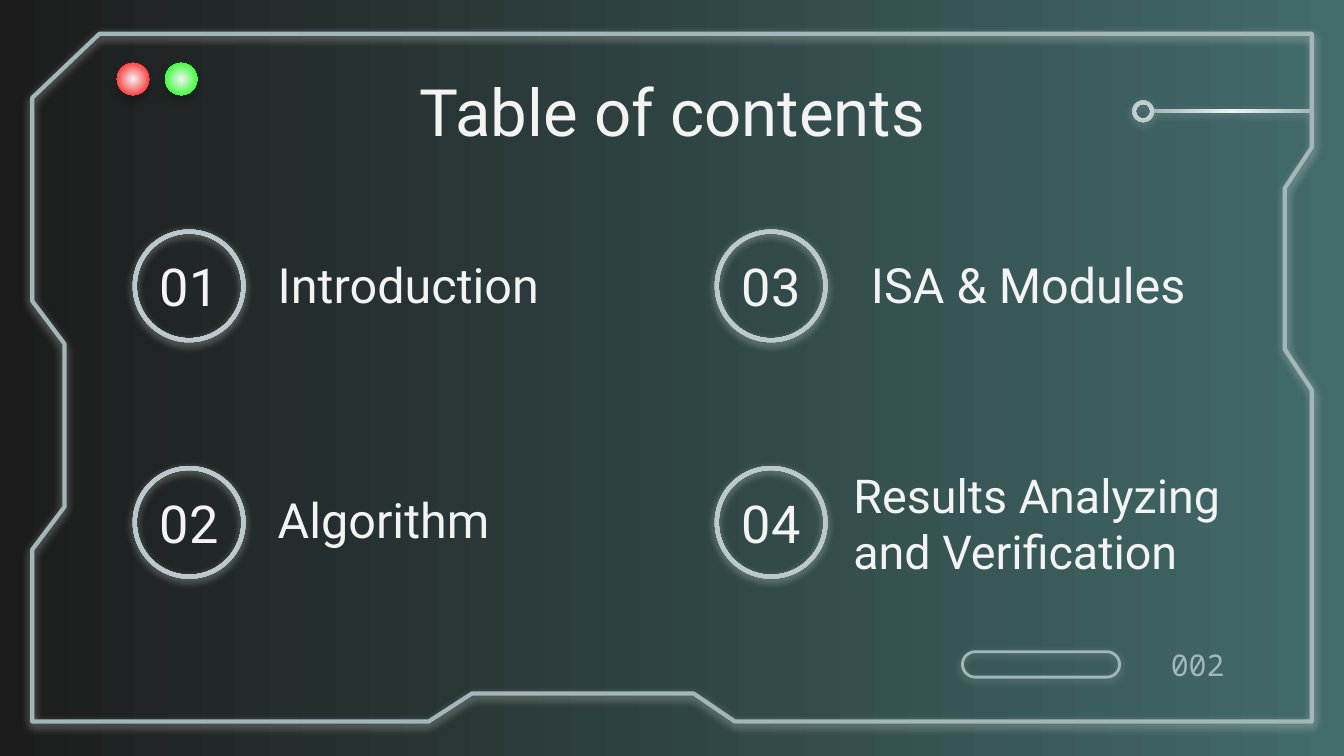
from lxml import etree
from pptx import Presentation
from pptx.dml.color import RGBColor
from pptx.enum.shapes import MSO_SHAPE as Shape
from pptx.enum.text import MSO_ANCHOR as Anchor, PP_ALIGN as Align
from pptx.oxml.ns import qn
from pptx.util import Cm, Pt

LIGHT, STEEL = "F3F3F3", "A3B7B9"
GLOW, SOFT_GLOW, DROP = (LIGHT, 50, 1.5), (STEEL, 50, 1.5), ("000000", 20, 3.8)


def colour(value):
    return RGBColor.from_string(value)


class Deck:
    """Holds the style and the current slide; each method adds one kind of element."""

    font = {"name": "Roboto", "size": Pt(26), "color": LIGHT}

    def __init__(self, presentation):
        self.slide = presentation.slides.add_slide(presentation.slide_layouts[6])

    def gradient(self, fill, first, last, radial=True):
        fill.gradient()
        fill.gradient_angle = 0
        for stop, value, position in zip(fill.gradient_stops, (first, last), (0, 1)):
            stop.color.rgb = colour(value)
            stop.position = position
        return radial

    def background(self, first, last):
        self.gradient(self.slide.background.fill, first, last)

    def radial_fill(self, shape, first, last):
        self.gradient(shape.fill, first, last)
        gradient = shape._element.spPr.find(qn("a:gradFill"))
        gradient.remove(gradient.find(qn("a:lin")))
        path = etree.SubElement(gradient, qn("a:path"), path="circle")
        etree.SubElement(path, qn("a:fillToRect"), l="50000", t="50000", r="50000", b="50000")

    def shadow(self, shape, value, alpha, distance):
        shape.shadow.inherit = False
        effects = shape._element.spPr.find(qn("a:effectLst"))
        outer = etree.SubElement(effects, qn("a:outerShdw"), blurRad=str(Pt(4.5)),
                                 dist=str(Pt(distance)), dir="5400000",
                                 algn="bl", rotWithShape="0")
        tint = etree.SubElement(outer, qn("a:srgbClr"), val=value)
        etree.SubElement(tint, qn("a:alpha"), val=str(alpha * 1000))

    def outline(self, shape, width, shadow):
        shape.fill.background()
        shape.line.color.rgb = colour(STEEL)
        shape.line.width = Pt(width)
        self.shadow(shape, *shadow)

    def frame(self, points):
        start, *rest = [(Cm(x), Cm(y)) for x, y in points]
        builder = self.slide.shapes.build_freeform(*start)
        builder.add_line_segments(rest, close=True)
        self.outline(builder.convert_to_shape(), 2.25, GLOW)

    def preset(self, kind, box, adjustment=None):
        shape = self.slide.shapes.add_shape(kind, *map(Cm, box))
        if adjustment is not None:
            shape.adjustments[0] = adjustment
        return shape

    def pill(self, box):
        self.outline(self.preset(Shape.ROUNDED_RECTANGLE, box, 0.5), 1.5, SOFT_GLOW)

    def glowing(self, kind, box, shadow, edge=STEEL, adjustment=None):
        shape = self.preset(kind, box, adjustment)
        self.radial_fill(shape, LIGHT, edge)
        shape.line.fill.background()
        self.shadow(shape, *shadow)

    def text(self, content, box, anchor=Anchor.MIDDLE, align=Align.LEFT, side=0.25, **changes):
        frame = self.slide.shapes.add_textbox(*map(Cm, box)).text_frame
        layout = {"word_wrap": True, "vertical_anchor": anchor,
                  "margin_left": Cm(side), "margin_right": Cm(0.25 if align == Align.RIGHT else side),
                  "margin_top": Cm(0.25), "margin_bottom": Cm(0.25)}
        for name, value in layout.items():
            setattr(frame, name, value)
        paragraph = frame.paragraphs[0]
        paragraph.alignment = align
        run = paragraph.add_run()
        run.text = content
        for name, value in {**self.font, **changes}.items():
            if name == "color":
                run.font.color.rgb = colour(value)
            else:
                setattr(run.font, name, value)


def main():
    presentation = Presentation()
    presentation.slide_width, presentation.slide_height = Cm(25.4), Cm(14.29)
    deck = Deck(presentation)
    deck.background("1C1C1C", "426B6A")

    # Notched frame
    deck.frame([(24.79, 13.64), (13.89, 13.64), (13.11, 13.11), (8.92, 13.11), (8.1, 13.64),
                (0.61, 13.64), (0.61, 10.39), (1.22, 9.58), (1.22, 6.5), (0.61, 5.69),
                (0.61, 1.85), (1.88, 0.64), (24.79, 0.64), (24.79, 2.79), (24.28, 3.56),
                (24.28, 6.6), (24.79, 7.37)])

    # Title
    deck.text("Table of contents", (2.01, 1.5, 21.41, 1.19), align=Align.CENTER, size=Pt(35))

    # Numbered entries, column by column
    entries = [("Introduction", (5, 4.7, 6.86, 1.47), 26),
               ("Algorithm", (5, 9.14, 6.86, 1.47), 26),
               ("ISA & Modules", (16.21, 4.7, 7.65, 1.47), 26),
               ("Results Analyzing and Verification", (15.88, 8.53, 8.79, 2.67), 25)]
    for index, (label, box, size) in enumerate(entries):
        column, row = divmod(index, 2)
        left, top = 2.51 + 11 * column, 4.34 + 4.47 * row
        deck.glowing(Shape.DONUT, (left, top, 2.13, 2.13), GLOW, adjustment=0.036)
        deck.text(f"{index + 1:02}", (left + 0.19, top + 0.08, 1.75, 1.96),
                  align=Align.CENTER, side=0, size=Pt(28))
        deck.text(label, box, anchor=Anchor.BOTTOM, size=Pt(size))

    # Page number and pill
    deck.pill((18.19, 12.32, 2.97, 0.48))
    deck.text("002", (21.87, 12.32, 1.52, 0.48), align=Align.RIGHT, side=0,
              name="Noto Sans Mono", size=Pt(16), color=STEEL)

    # Window lights
    for left, edge in ((2.21, "FF0000"), (3.12, "00FF00")):
        deck.glowing(Shape.OVAL, (left, 1.19, 0.61, 0.61), DROP, edge)

    # Antenna: bar and ring
    deck.glowing(Shape.RECTANGLE, (21.79, 2.07, 3, 0.06), SOFT_GLOW)
    deck.glowing(Shape.DONUT, (21.4, 1.9, 0.41, 0.41), SOFT_GLOW, adjustment=0.16)

    presentation.save("out.pptx")


if __name__ == "__main__":
    main()
